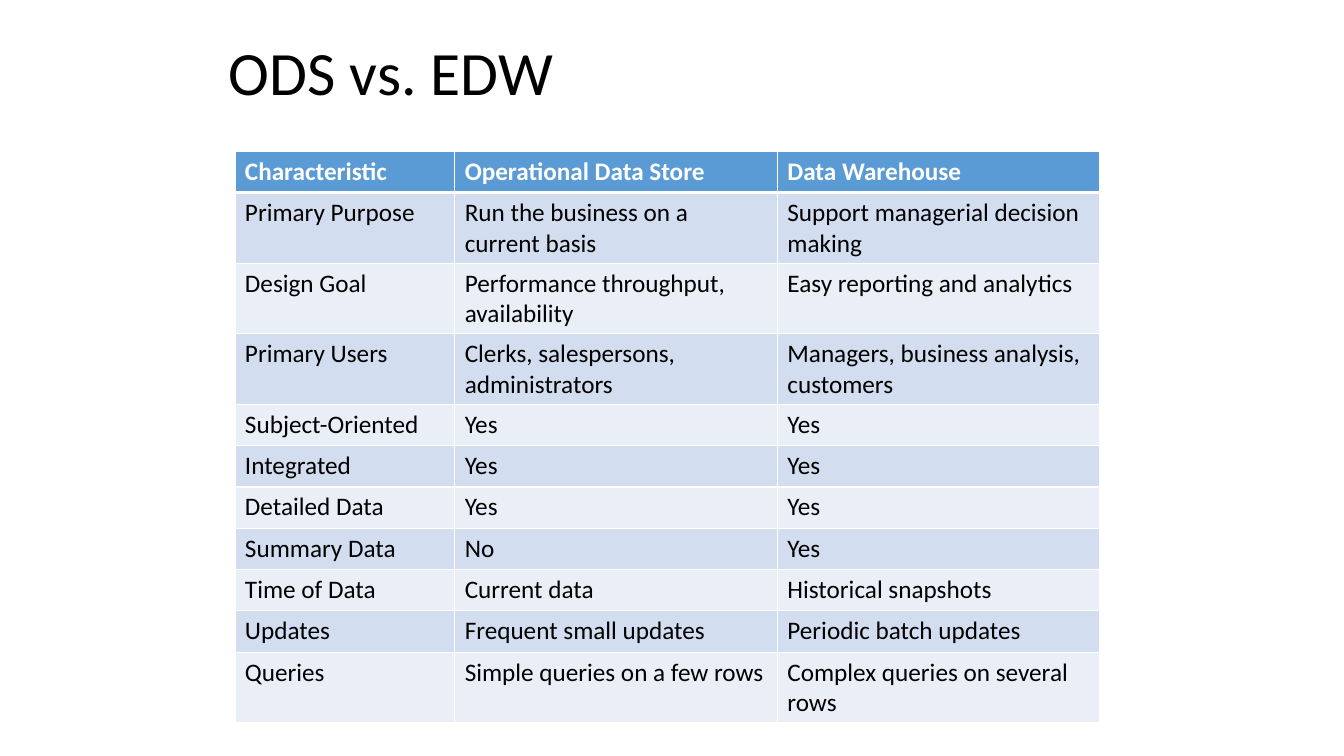
"""Build the ODS vs. EDW comparison slide."""
from lxml import etree
from pptx import Presentation
from pptx.dml.color import RGBColor
from pptx.enum.text import MSO_ANCHOR
from pptx.oxml.ns import qn
from pptx.util import Inches, Pt

MIDDLE = MSO_ANCHOR.MIDDLE
FONT = "Calibri"
COLORS = {
    "text": "000000",
    "white": "FFFFFF",
    "header": "5B9BD5",
    "odd_row": "D2DEEF",
    "even_row": "EAEFF7",
}
COLUMN_WIDTHS = [2.18, 3.2, 3.2]
ROW_HEIGHT = 0.41
ROWS = [
    ("Characteristic", "Operational Data Store", "Data Warehouse"),
    ("Primary Purpose", "Run the business on a current basis", "Support managerial decision making"),
    ("Design Goal", "Performance throughput, availability", "Easy reporting and analytics"),
    ("Primary Users", "Clerks, salespersons, administrators", "Managers, business analysis, customers"),
    ("Subject-Oriented", "Yes", "Yes"),
    ("Integrated", "Yes", "Yes"),
    ("Detailed Data", "Yes", "Yes"),
    ("Summary Data", "No", "Yes"),
    ("Time of Data", "Current data", "Historical snapshots"),
    ("Updates", "Frequent small updates", "Periodic batch updates"),
    ("Queries", "Simple queries on a few rows", "Complex queries on several rows"),
]


def add_span(para, text, size, color, bold=False):
    span = para.add_run()
    span.text = text
    span.font.name = FONT
    span.font.size = Pt(size)
    span.font.bold = bold
    span.font.color.rgb = RGBColor.from_string(COLORS[color])


def add_border(cell, side, width):
    properties = cell._tc.get_or_add_tcPr()
    line = etree.SubElement(properties, qn(f"a:ln{side}"), w=str(Pt(width)))
    fill = etree.SubElement(line, qn("a:solidFill"))
    etree.SubElement(fill, qn("a:srgbClr"), val=COLORS["white"])


deck = Presentation()
deck.slide_width = Inches(13.33)
deck.slide_height = Inches(7.5)
page = deck.slides.add_slide(deck.slide_layouts[6])

title_box = page.shapes.add_textbox(Inches(2.17), Inches(0), Inches(9), Inches(1.5))
title_box.text_frame.word_wrap = True
title_box.text_frame.vertical_anchor = MIDDLE
title_para = title_box.text_frame.paragraphs[0]
title_para.line_spacing = 0.9
add_span(title_para, "ODS vs. EDW", 44, "text")

table = page.shapes.add_table(
    len(ROWS), len(COLUMN_WIDTHS), Inches(2.33), Inches(1.5),
    Inches(sum(COLUMN_WIDTHS)), Inches(ROW_HEIGHT * len(ROWS)),
).table
for column, width in zip(table.columns, COLUMN_WIDTHS):
    column.width = Inches(width)

for row_index, texts in enumerate(ROWS):
    table.rows[row_index].height = Inches(ROW_HEIGHT)
    is_header = row_index == 0
    row_fill = "header" if is_header else "odd_row" if row_index % 2 else "even_row"
    border_widths = {
        "L": 1,
        "R": 1,
        "T": 3 if row_index == 1 else 1,
        "B": 3 if is_header else 1,
    }
    for column_index, text in enumerate(texts):
        cell = table.cell(row_index, column_index)
        for side, width in border_widths.items():
            add_border(cell, side, width)
        cell.fill.solid()
        cell.fill.fore_color.rgb = RGBColor.from_string(COLORS[row_fill])
        text_color = "white" if is_header else "text"
        add_span(cell.text_frame.paragraphs[0], text, 18, text_color, is_header)

deck.save("out.pptx")
